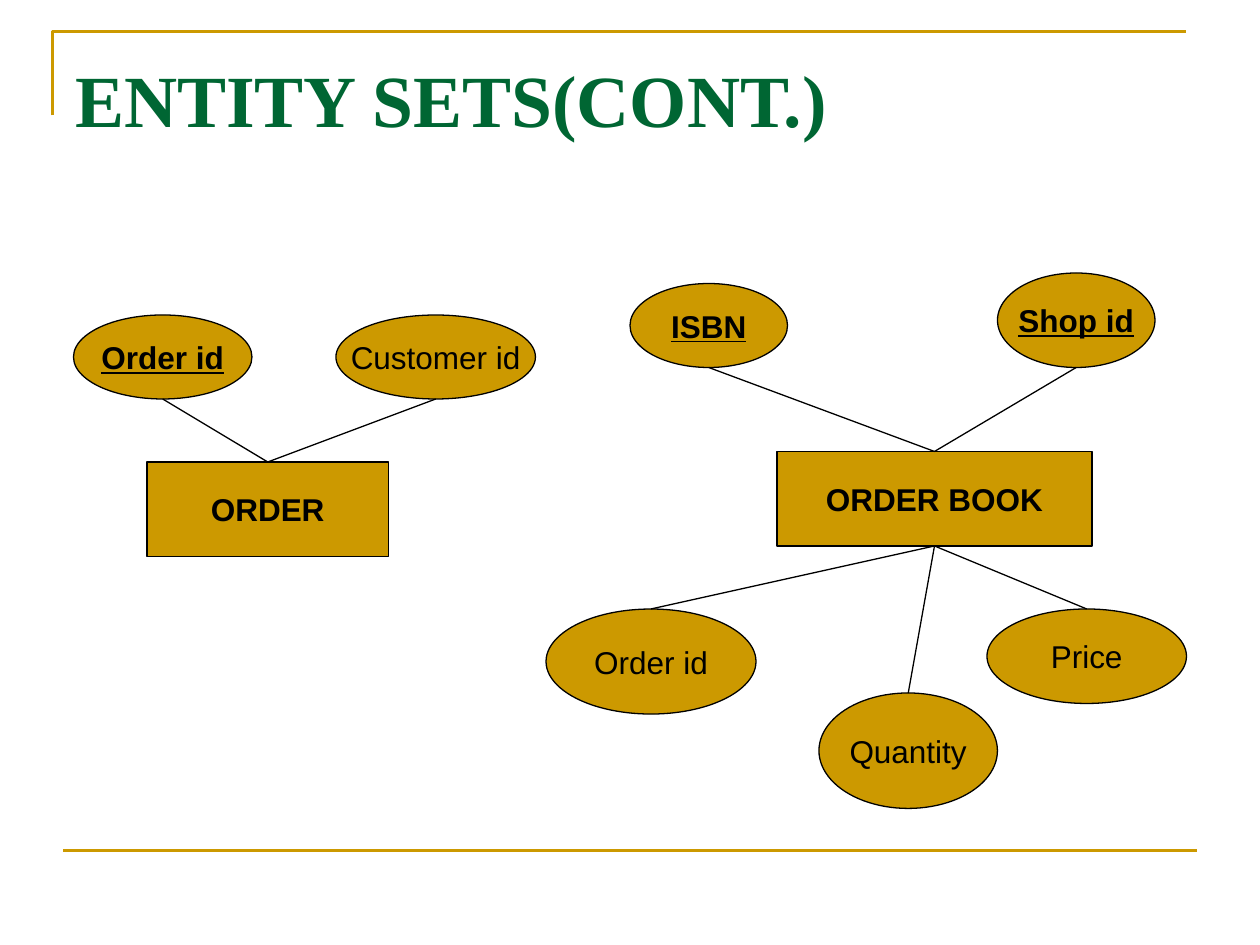
from lxml import etree
from pptx import Presentation
from pptx.dml.color import RGBColor
from pptx.enum.shapes import MSO_CONNECTOR, MSO_SHAPE
from pptx.enum.text import MSO_ANCHOR, PP_ALIGN
from pptx.oxml.ns import qn
from pptx.util import Pt

COLORS = {"gold": "CC9900", "green": "006633", "black": "000000"}

ENTITIES = [
    {
        "name": "ORDER",
        "box": (84, 264, 138, 54),
        "attributes": [
            ("Order id", (42, 180, 102, 48), True),
            ("Customer id", (192, 180, 114, 48), False),
        ],
    },
    {
        "name": "ORDER BOOK",
        "box": (444, 258, 180, 54),
        "attributes": [
            ("ISBN", (360, 162, 90, 48), True),
            ("Shop id", (570, 156, 90, 54), True),
            ("Order id", (312, 348, 120, 60), False),
            ("Quantity", (468, 396, 102, 66), False),
            ("Price", (564, 348, 114, 54), False),
        ],
    },
]


def color(name):
    return RGBColor.from_string(COLORS[name])


def write_text(frame, text, size=18, font="Arial", fill="black", bold=False,
               underline=False, align=PP_ALIGN.CENTER, anchor=MSO_ANCHOR.MIDDLE,
               wrap=False):
    frame.word_wrap = wrap
    frame.vertical_anchor = anchor
    paragraph = frame.paragraphs[0]
    paragraph.alignment = align
    run = paragraph.add_run()
    run.text = text
    run.font.size = Pt(size)
    run.font.name = font
    run.font.bold = bold
    run.font.underline = underline
    run.font.color.rgb = color(fill)


class Diagram:
    def __init__(self, slide):
        self.slide = slide

    def outline(self, shape, name, width):
        shape.line.color.rgb = color(name)
        shape.line.width = Pt(width)

    def title(self, text, box):
        shape = self.slide.shapes.add_textbox(*map(Pt, box))
        shape.text_frame.margin_top = Pt(9)
        write_text(shape.text_frame, text, size=42, font="Times New Roman",
                   fill="green", bold=True, align=PP_ALIGN.LEFT,
                   anchor=MSO_ANCHOR.TOP, wrap=True)

    def corner(self, points):
        builder = self.slide.shapes.build_freeform(*map(Pt, points[0]))
        builder.add_line_segments([(Pt(x), Pt(y)) for x, y in points[1:]], close=False)
        shape = builder.convert_to_shape()
        shape.shadow.inherit = False
        shape.fill.background()
        self.outline(shape, "gold", 1.5)

    def line(self, start, end, name="black", width=0.75):
        connector = self.slide.shapes.add_connector(
            MSO_CONNECTOR.STRAIGHT, *map(Pt, start + end))
        self.outline(connector, name, width)
        etree.SubElement(connector._element.spPr, qn("a:effectLst"))

    def node(self, kind, text, box, **text_format):
        shape = self.slide.shapes.add_shape(kind, *map(Pt, box))
        shape.shadow.inherit = False
        shape.fill.solid()
        shape.fill.fore_color.rgb = color("gold")
        self.outline(shape, "black", 0.75)
        write_text(shape.text_frame, text, **text_format)

    def link(self, attribute_box, entity_box):
        upper, lower = sorted((attribute_box, entity_box), key=lambda box: box[1])
        self.line((upper[0] + upper[2] / 2, upper[1] + upper[3]),
                  (lower[0] + lower[2] / 2, lower[1]))


def main():
    presentation = Presentation()
    presentation.slide_width = Pt(720)
    presentation.slide_height = Pt(540)
    diagram = Diagram(presentation.slides.add_slide(presentation.slide_layouts[6]))

    diagram.corner([(30, 66), (30, 18), (678, 18)])
    diagram.line((36, 486), (684, 486), "gold", 1.5)
    diagram.title("ENTITY SETS(CONT.)", (36, 21.6, 648, 90))

    for entity in ENTITIES:
        diagram.node(MSO_SHAPE.RECTANGLE, entity["name"], entity["box"], bold=True)
        for name, box, is_key in entity["attributes"]:
            diagram.node(MSO_SHAPE.OVAL, name, box, bold=is_key, underline=is_key)
            diagram.link(box, entity["box"])

    presentation.save("out.pptx")


if __name__ == "__main__":
    main()
